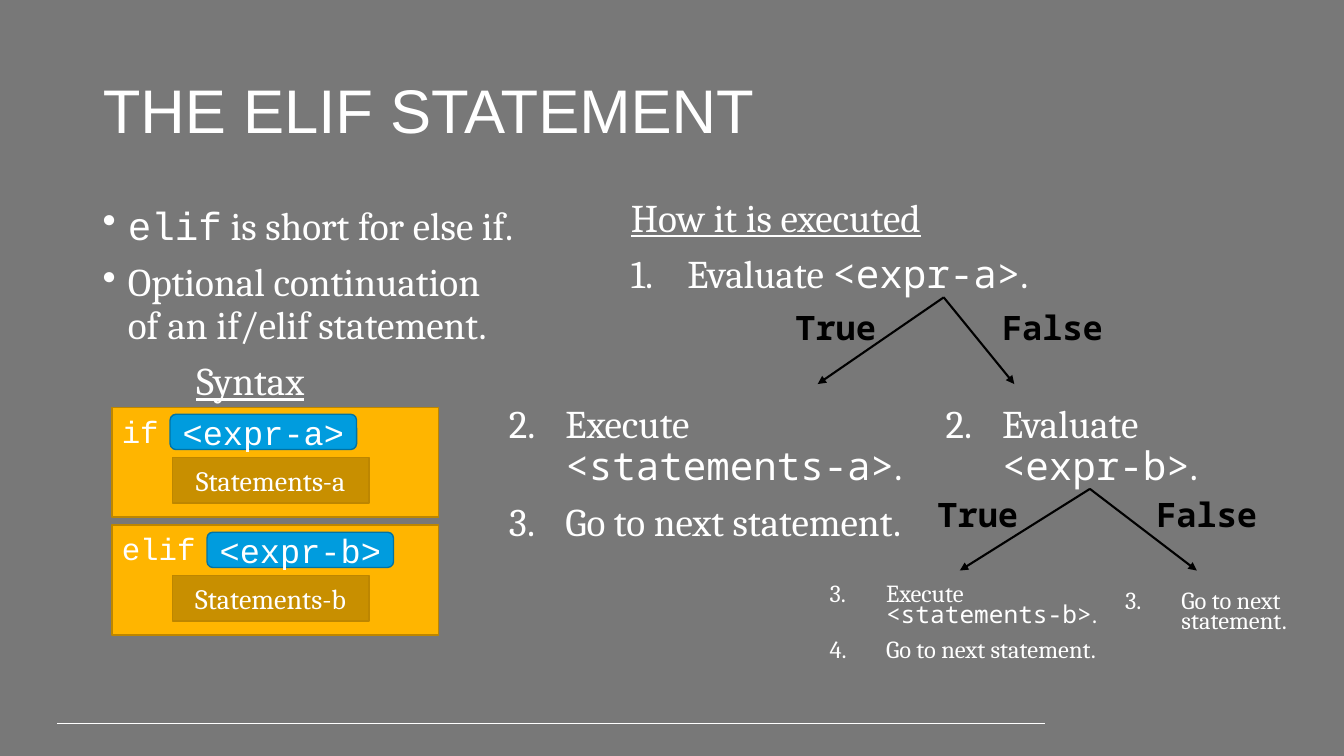
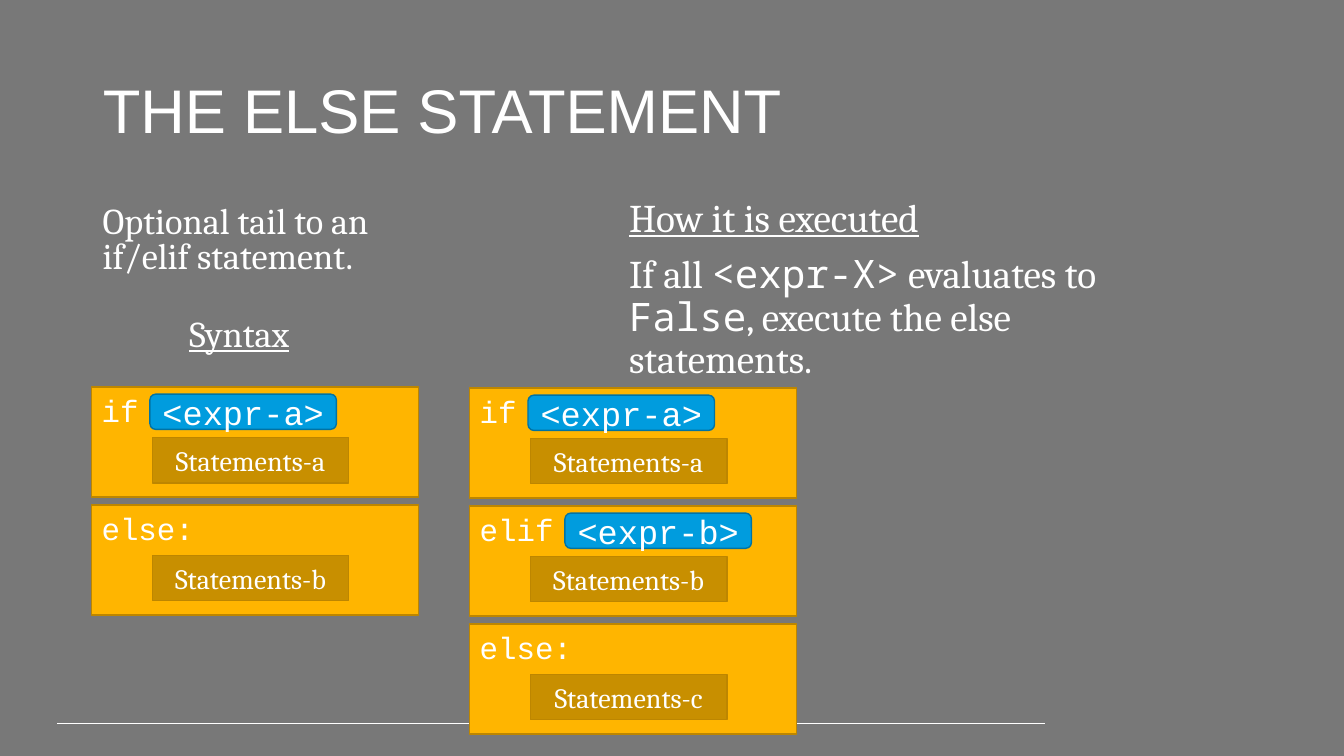
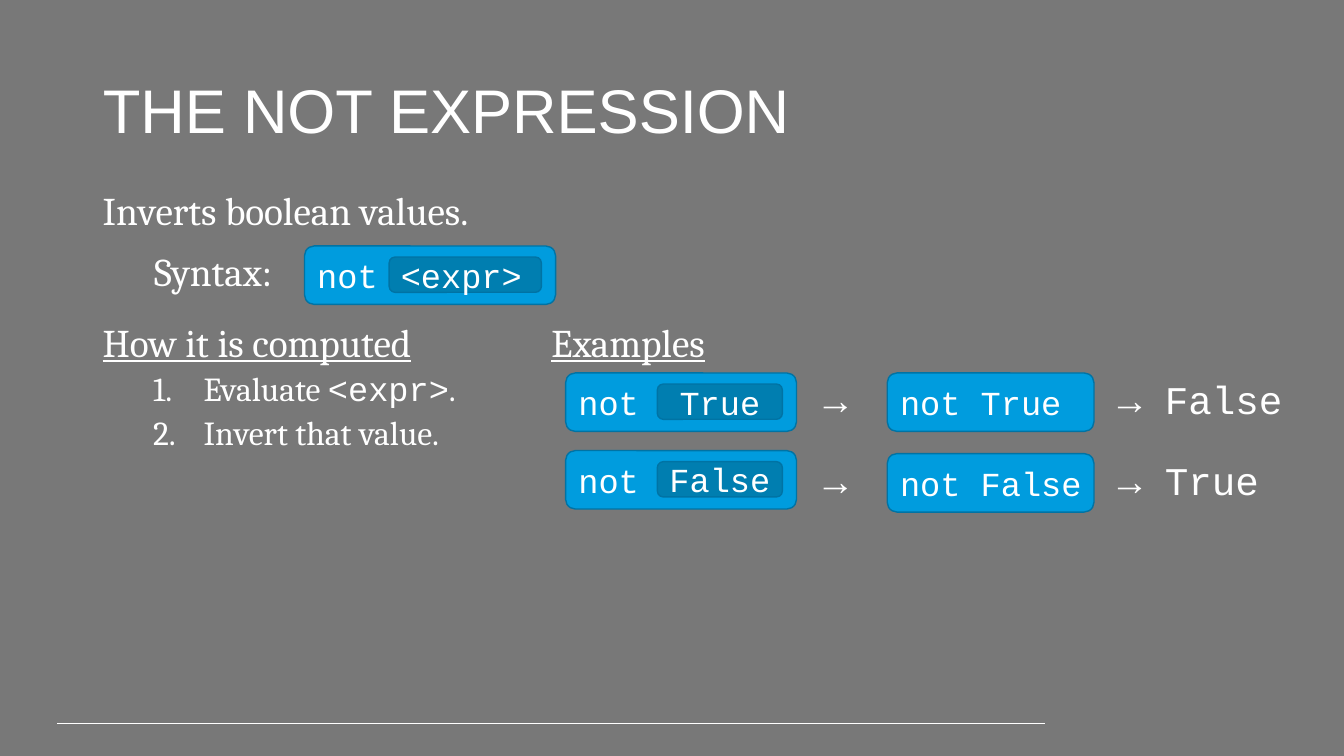
from lxml.etree import SubElement
from pptx import Presentation
from pptx.dml.color import RGBColor
from pptx.enum.shapes import MSO_CONNECTOR, MSO_SHAPE
from pptx.enum.text import MSO_ANCHOR, PP_ALIGN
from pptx.oxml.ns import qn
from pptx.util import Inches, Pt

GREY = RGBColor(0x78, 0x78, 0x78)
WHITE = RGBColor(0xFF, 0xFF, 0xFF)
BLACK = RGBColor(0x00, 0x00, 0x00)
AMBER = RGBColor(0xFF, 0xB5, 0x00)
AMBER_DARK = RGBColor(0xC8, 0x8F, 0x00)
AMBER_LINE = RGBColor(0xBD, 0x86, 0x00)
BLUE = RGBColor(0x00, 0x9C, 0xDE)
BLUE_DARK = RGBColor(0x00, 0x7E, 0xB0)
BLUE_LINE = RGBColor(0x00, 0x73, 0xA4)

SANS, SERIF = "Arial", "Cambria"
COURIER, MONO = "Courier New", "Noto Sans Mono"
CHAR_W = 22 * 0.6 / 72
BLOCK_PITCH = 1.17


def write(tf, text, size=28, font=SERIF, code=MONO, color=WHITE, bold=False,
          underline=False, align=PP_ALIGN.LEFT, line=0.9, before=10,
          indent=0, hang=0, bullet=None, start=1, tab=None):
    """Add one paragraph; parts between backticks use the code font."""
    p = tf.paragraphs[0]
    if p.runs:
        p = tf.add_paragraph()
    p.alignment, p.line_spacing, p.space_before = align, line, Pt(before)
    pPr = p._p.get_or_add_pPr()
    pPr.set("marL", str(Inches(indent)))
    pPr.set("indent", str(Inches(-hang)))
    if bullet == "1.":
        SubElement(pPr, qn("a:buAutoNum"), type="arabicPeriod", startAt=str(start))
    elif bullet:
        SubElement(pPr, qn("a:buChar"), char=bullet)
    else:
        SubElement(pPr, qn("a:buNone"))
    if tab:
        tabs = SubElement(pPr, qn("a:tabLst"))
        SubElement(tabs, qn("a:tab"), pos=str(Inches(tab)), algn="l")
    for i, part in enumerate(text.split("`")):
        for j, piece in enumerate(part.split("\n")):
            if j:
                p.add_line_break()
            if piece:
                r = p.add_run()
                r.text = piece
                f = r.font
                f.name = code if i % 2 else font
                f.size, f.bold, f.underline = Pt(size), bold, underline
                f.color.rgb = color


def text_box(slide, x, y, w, h):
    """Add a wrapping text box and return its text frame."""
    tf = slide.shapes.add_textbox(Inches(x), Inches(y), Inches(w), Inches(h)).text_frame
    tf.word_wrap = True
    return tf


def panel(slide, kind, x, y, w, h, fill, line, anchor=MSO_ANCHOR.MIDDLE):
    """Add a filled, outlined shape and return its text frame."""
    sp = slide.shapes.add_shape(kind, Inches(x), Inches(y), Inches(w), Inches(h))
    sp.shadow.inherit = False
    sp.fill.solid()
    sp.fill.fore_color.rgb = fill
    sp.line.color.rgb = line
    sp.line.width = Pt(1)
    tf = sp.text_frame
    tf.word_wrap = True
    tf.vertical_anchor = anchor
    return tf


def pill(slide, x, y, w, h, text, fill=BLUE, align=PP_ALIGN.LEFT):
    """Add a rounded expression in code type."""
    tf = panel(slide, MSO_SHAPE.ROUNDED_RECTANGLE, x, y, w, h, fill, BLUE_LINE)
    if align == PP_ALIGN.LEFT:
        tf.margin_right = 0
    else:
        tf.margin_left = tf.margin_right = Inches(0.05)
    write(tf, text, size=24, font=COURIER, align=align, line=1.0, before=0)


def connector(slide, x1, y1, x2, y2, color, width, arrow=False):
    """Draw a straight line, with an arrowhead at its end if asked."""
    cn = slide.shapes.add_connector(MSO_CONNECTOR.STRAIGHT, Inches(x1), Inches(y1),
                                    Inches(x2), Inches(y2))
    cn.line.color.rgb = color
    cn.line.width = Pt(width)
    if arrow:
        SubElement(cn.line._get_or_add_ln(), qn("a:tailEnd"), type="triangle")
    SubElement(cn._element.spPr, qn("a:effectLst"))


def new_slide(prs, title):
    """Add a slide with the shared background, rule and title."""
    slide = prs.slides.add_slide(prs.slide_layouts[5])
    connector(slide, 0.57, 7.18, 10.36, 7.18, WHITE, 0.75)
    sp = slide.shapes.title
    sp.left, sp.top, sp.width, sp.height = map(Inches, (0.92, 0.4, 11.5, 1.45))
    sp.text_frame.vertical_anchor = MSO_ANCHOR.MIDDLE
    write(sp.text_frame, title, size=44, font=SANS, before=0)
    return slide


def code_block(slide, x, y, keyword, condition, body):
    """Draw one branch of an if statement."""
    tf = panel(slide, MSO_SHAPE.RECTANGLE, x, y, 3.24, 1.09, AMBER, AMBER_LINE,
               MSO_ANCHOR.TOP)
    head = f"{keyword}\t:" if condition else f"{keyword}:"
    write(tf, head, size=22, font=COURIER, line=1.0, before=0,
          tab=round((len(keyword) + 11) * CHAR_W, 2))
    if condition:
        pill(slide, x + 0.21 + len(keyword) * CHAR_W, y + 0.07, 1.85, 0.35,
             condition, align=PP_ALIGN.CENTER)
    tf = panel(slide, MSO_SHAPE.RECTANGLE, x + 0.6, y + 0.5, 1.95, 0.45,
               AMBER_DARK, AMBER_LINE)
    write(tf, body, size=20, align=PP_ALIGN.CENTER, line=1.0, before=0)


def code_stack(slide, x, y, branches):
    """Stack branches at an even pitch."""
    for i, branch in enumerate(branches):
        code_block(slide, x, y + i * BLOCK_PITCH, *branch)


def fork(slide, x, y, left, right, drop, label_x, label_y):
    """Draw True and False arrows from one point, with labels."""
    for dx in (-left, right):
        connector(slide, x, y, x + dx, y + drop, BLACK, 1.5, arrow=True)
    for label, dx, w in (("True", -left - 0.32, 1.03), ("False", label_x, 1.37)):
        write(text_box(slide, x + dx, y + label_y, w, 0.5), label, size=24,
              font=MONO, color=BLACK, bold=True, line=1.0, before=0)


def steps(slide, x, y, w, h, start, items, **fmt):
    """Write a numbered list that begins at the given number."""
    tf = text_box(slide, x, y, w, h)
    for item in items:
        write(tf, item, indent=0.56, hang=0.56, bullet="1.", start=start, **fmt)


def not_expression(slide, x, y, w, inner, inner_w, align=PP_ALIGN.CENTER):
    """Draw a not expression with its operand nested inside."""
    pill(slide, x, y, w, 0.58, "not")
    pill(slide, x + w - inner_w - 0.14, y + 0.11, inner_w, 0.35, inner, BLUE_DARK, align)


def elif_slide(prs):
    """Build the elif slide."""
    slide = new_slide(prs, "THE ELIF STATEMENT")
    tf = text_box(slide, 0.92, 2, 4.72, 2.08)
    for item in ("`elif` is short for else if.",
                 "Optional continuation\nof an if/elif statement."):
        write(tf, item, code=COURIER, indent=0.25, hang=0.25, bullet="•")
    write(tf, "Syntax", underline=True, indent=0.93)

    tf = text_box(slide, 6.16, 1.92, 5.56, 1.2)
    write(tf, "How it is executed", underline=True)
    write(tf, "Evaluate `<expr-a>`.", indent=0.56, hang=0.56, bullet="1.")
    steps(slide, 4.95, 3.96, 4.23, 2.32, 2,
          ("Execute `<statements-a>`.", "Go to next statement."))
    steps(slide, 9.28, 3.96, 4.22, 1.01, 2, ("Evaluate\n`<expr-b>`.",))
    fork(slide, 9.36, 2.95, 1.25, 0.7, 0.86, 0.48, 0.05)
    fork(slide, 10.81, 4.85, 1.29, 1.06, 0.81, 0.56, 0)
    steps(slide, 8.13, 5.77, 3.08, 1.16, 3,
          ("Execute `<statements-b>`.", "Go to next statement."), size=17.5, line=0.7)
    steps(slide, 11.06, 5.83, 2.33, 0.53, 3, ("Go to next statement.",),
          size=17.5, line=0.7)
    code_stack(slide, 1.11, 4.04, (("if", "<expr-a>", "Statements-a"),
                                   ("elif", "<expr-b>", "Statements-b")))


def else_slide(prs):
    """Build the else slide."""
    slide = new_slide(prs, "THE ELSE STATEMENT")
    tf = text_box(slide, 0.92, 2, 4.3, 1.7)
    write(tf, "Optional tail to an\nif/elif statement.", size=25.9, line=0.8)
    write(tf, "Syntax", size=25.9, line=0.8, before=31, underline=True, indent=0.86)
    tf = text_box(slide, 6.14, 1.92, 5.58, 3.15)
    write(tf, "How it is executed", underline=True)
    write(tf, "If all `<expr-X>` evaluates to `False`, execute the else statements.")
    code_stack(slide, 0.91, 3.84, (("if", "<expr-a>", "Statements-a"),
                                   ("else", None, "Statements-b")))
    code_stack(slide, 4.66, 3.85, (("if", "<expr-a>", "Statements-a"),
                                   ("elif", "<expr-b>", "Statements-b"),
                                   ("else", None, "Statements-c")))


def not_slide(prs):
    """Build the not slide."""
    slide = new_slide(prs, "THE NOT EXPRESSION")
    write(text_box(slide, 0.92, 1.85, 11.5, 0.53), "Inverts boolean values.")
    write(text_box(slide, 1.43, 2.46, 1.49, 0.56), "Syntax:")
    not_expression(slide, 3.02, 2.44, 2.49, "<expr>", 1.51, PP_ALIGN.LEFT)

    tf = text_box(slide, 0.92, 3.16, 4.08, 1.6)
    write(tf, "How it is computed", underline=True)
    for item in ("Evaluate `<expr>`.", "Invert that value."):
        write(tf, item, size=24, code=COURIER, before=5, indent=1, hang=0.5, bullet="1.")

    write(text_box(slide, 5.37, 3.16, 6.48, 0.53), "Examples", underline=True)
    for y, result_y, value, result in ((3.7, 3.7, "True", "False"),
                                       (4.47, 4.5, "False", "True")):
        not_expression(slide, 5.61, y, 2.29, value, 1.24)
        pill(slide, 8.8, result_y, 2.05, 0.58, f"not {value}")
        for x, w, text in ((8.07, 0.59, "→"), (10.99, 2, f"→ {result}")):
            write(text_box(slide, x, result_y + 0.03, w, 0.54), text, font=COURIER)


def main():
    """Build and save the presentation."""
    prs = Presentation()
    prs.slide_width, prs.slide_height = Inches(13.33), Inches(7.5)
    fill = prs.slide_master.background.fill
    fill.solid()
    fill.fore_color.rgb = GREY
    for build in (elif_slide, else_slide, not_slide):
        build(prs)
    prs.save("out.pptx")


if __name__ == "__main__":
    main()
